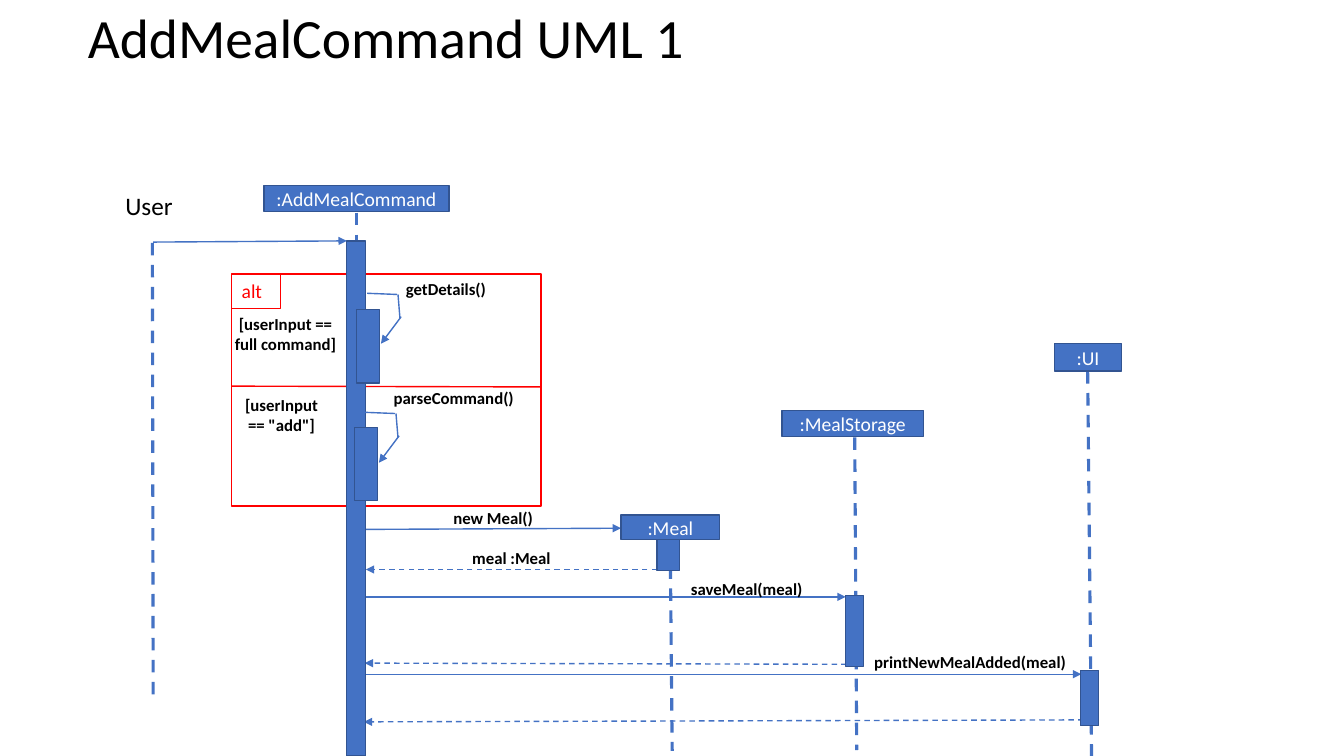
from dataclasses import dataclass
from typing import Optional

from lxml.etree import SubElement as Sub
from pptx import Presentation
from pptx.dml.color import RGBColor
from pptx.enum.dml import MSO_LINE as Dash
from pptx.enum.shapes import MSO_CONNECTOR as Link, MSO_SHAPE as Form
from pptx.enum.text import MSO_ANCHOR as Anchor, PP_ALIGN as Align
from pptx.oxml.ns import qn
from pptx.util import Cm, Pt

BLUE = RGBColor(0x44, 0x72, 0xC4)
EDGE = RGBColor(0x32, 0x54, 0x91)
RED = RGBColor(0xFF, 0x00, 0x00)
BLACK = RGBColor(0x00, 0x00, 0x00)
WHITE = RGBColor(0xFF, 0xFF, 0xFF)


@dataclass(frozen=True)
class Box:
    x: float
    y: float
    w: float
    h: float
    text: str = ""
    fill: Optional[RGBColor] = BLUE
    edge: RGBColor = EDGE
    width: float = 1
    ink: RGBColor = WHITE
    align: Align = Align.CENTER
    anchor: Anchor = Anchor.MIDDLE


@dataclass(frozen=True)
class Line:
    x: float
    y: float
    to_x: float
    to_y: float
    dash: bool = False
    head: bool = False
    width: float = 1
    color: RGBColor = BLUE


@dataclass(frozen=True)
class Label:
    x: float
    y: float
    w: float
    text: str
    h: float = 0.76
    size: float = 12
    bold: bool = True


LIVES = [
    Line(*ends, dash=True, width=2.25)
    for ends in (
        (3.84, 6.12, 3.86, 17.55),
        (8.99, 5.36, 8.99, 17.09),
        (16.89, 13.72, 16.94, 18.92),
        (21.54, 11.02, 21.59, 18.9),
        (27.41, 9.35, 27.51, 19.25),
    )
]
CALLS = [
    Line(3.86, 6.1, 8.74, 6.07, head=True),
    Line(9.19, 13.34, 15.65, 13.31, head=True),
    Line(16.56, 14.35, 9.22, 14.35, dash=True, head=True),
    Line(9.22, 15.04, 21.31, 15.04, head=True),
    Line(21.34, 16.74, 9.19, 16.71, dash=True, head=True),
    Line(9.19, 16.99, 27.25, 16.99, head=True),
    Line(27.31, 18.14, 9.17, 18.19, dash=True, head=True),
]
FRAME = [
    Box(5.84, 6.91, 7.8, 5.84, fill=None, edge=RED),
    Box(5.84, 6.91, 1.24, 0.86, "alt", None, RED, 0.75, RED, Align.LEFT, Anchor.TOP),
]
SPLIT = Line(5.84, 9.73, 13.64, 9.75, color=RED)
HEADS = [
    Box(6.65, 4.67, 4.67, 0.66, ":AddMealCommand"),
    Box(15.65, 12.98, 2.49, 0.61, ":Meal"),
    Box(19.71, 10.34, 3.56, 0.66, ":MealStorage"),
    Box(26.57, 8.66, 1.7, 0.69, ":UI"),
]
BARS = [
    Box(8.74, 6.07, 0.48, 12.98),
    Box(8.99, 7.8, 0.58, 1.85),
    Box(8.94, 10.77, 0.58, 1.85),
    Box(16.56, 13.59, 0.56, 0.79),
    Box(21.31, 15.01, 0.46, 1.78),
    Box(27.23, 16.89, 0.46, 1.4),
]
LOOPS = [
    Line(9.25 + dx, 7.39 + dy, 10.01 + dx, 7.42 + dy)
    for dx, dy in ((0, 0), (-0.05, 3))
] + [
    Line(10.03 + dx, 7.42 + dy, 10.08 + dx, 8.03 + dy)
    for dx, dy in ((0, 0), (-0.05, 3))
] + [
    Line(10.11 + dx, 7.98 + dy, 9.6 + dx, 8.66 + dy, head=True)
    for dx, dy in ((0, 0), (-0.05, 3))
]
LABELS = [
    Label(2.46, 4.67, 2.59, "User", 1.02, 18, False),
    Label(5.66, 7.77, 3.07, "[userInput == full command]", 1.27),
    Label(5.84, 9.83, 2.51, "[userInput == \"add\"]", 1.27),
    Label(9.88, 6.91, 2.72, "getDetails()"),
    Label(9.63, 9.65, 3.61, "parseCommand()"),
    Label(11.07, 12.67, 2.72, "new Meal()"),
    Label(11.53, 13.69, 2.72, "meal :Meal"),
    Label(17.12, 14.45, 3.4, "saveMeal(meal)"),
    Label(21.77, 16.31, 5.36, "printNewMealAdded(meal)"),
]


def style(item, looks: dict) -> None:
    for name, value in looks.items():
        setattr(item, name, value)


def write(shape, text: str, size: float, ink: RGBColor, align: Align,
          anchor: Anchor, bold: bool = False, wrap: bool = True) -> None:
    frame = shape.text_frame
    style(frame, {"text": text, "word_wrap": wrap, "vertical_anchor": anchor})
    para = frame.paragraphs[0]
    para.alignment = align
    style(para.runs[0].font, {"name": "Calibri", "size": Pt(size), "bold": bold})
    para.runs[0].font.color.rgb = ink


def draw_box(slide, box: Box) -> None:
    shape = slide.shapes.add_shape(
        Form.RECTANGLE, Cm(box.x), Cm(box.y), Cm(box.w), Cm(box.h))
    shape.shadow.inherit = False
    if box.fill is None:
        shape.fill.background()
    else:
        shape.fill.solid()
        shape.fill.fore_color.rgb = box.fill
    shape.line.color.rgb = box.edge
    shape.line.width = Pt(box.width)
    if box.text:
        write(shape, box.text, 14, box.ink, box.align, box.anchor, wrap=False)


def draw_line(slide, line: Line) -> None:
    link = slide.shapes.add_connector(
        Link.STRAIGHT, Cm(line.x), Cm(line.y), Cm(line.to_x), Cm(line.to_y))
    link.line.color.rgb = line.color
    style(link.line, {"width": Pt(line.width),
                      "dash_style": Dash.DASH if line.dash else None})
    if line.head:
        Sub(link.line._get_or_add_ln(), qn("a:tailEnd"), type="triangle")
    Sub(link._element.spPr, qn("a:effectLst"))


def draw_label(slide, label: Label) -> None:
    shape = slide.shapes.add_textbox(
        Cm(label.x), Cm(label.y), Cm(label.w), Cm(label.h))
    write(shape, label.text, label.size, BLACK, Align.CENTER, Anchor.TOP, label.bold)


def draw_title(slide) -> None:
    title = slide.shapes.title
    style(title, {"left": Cm(1.96), "top": Cm(0.46),
                  "width": Cm(29.21), "height": Cm(1.14)})
    write(title, "AddMealCommand UML 1", 39.6, BLACK, Align.LEFT, Anchor.MIDDLE)
    title.text_frame.paragraphs[0].line_spacing = 0.9


def main() -> None:
    deck = Presentation()
    style(deck, {"slide_width": Cm(33.87), "slide_height": Cm(19.05)})
    slide = deck.slides.add_slide(deck.slide_layouts[5])
    draw_title(slide)
    for line in LIVES + CALLS:
        draw_line(slide, line)
    for box in FRAME:
        draw_box(slide, box)
    draw_line(slide, SPLIT)
    for box in HEADS + BARS:
        draw_box(slide, box)
    for line in LOOPS:
        draw_line(slide, line)
    for label in LABELS:
        draw_label(slide, label)
    deck.save("out.pptx")


if __name__ == "__main__":
    main()
